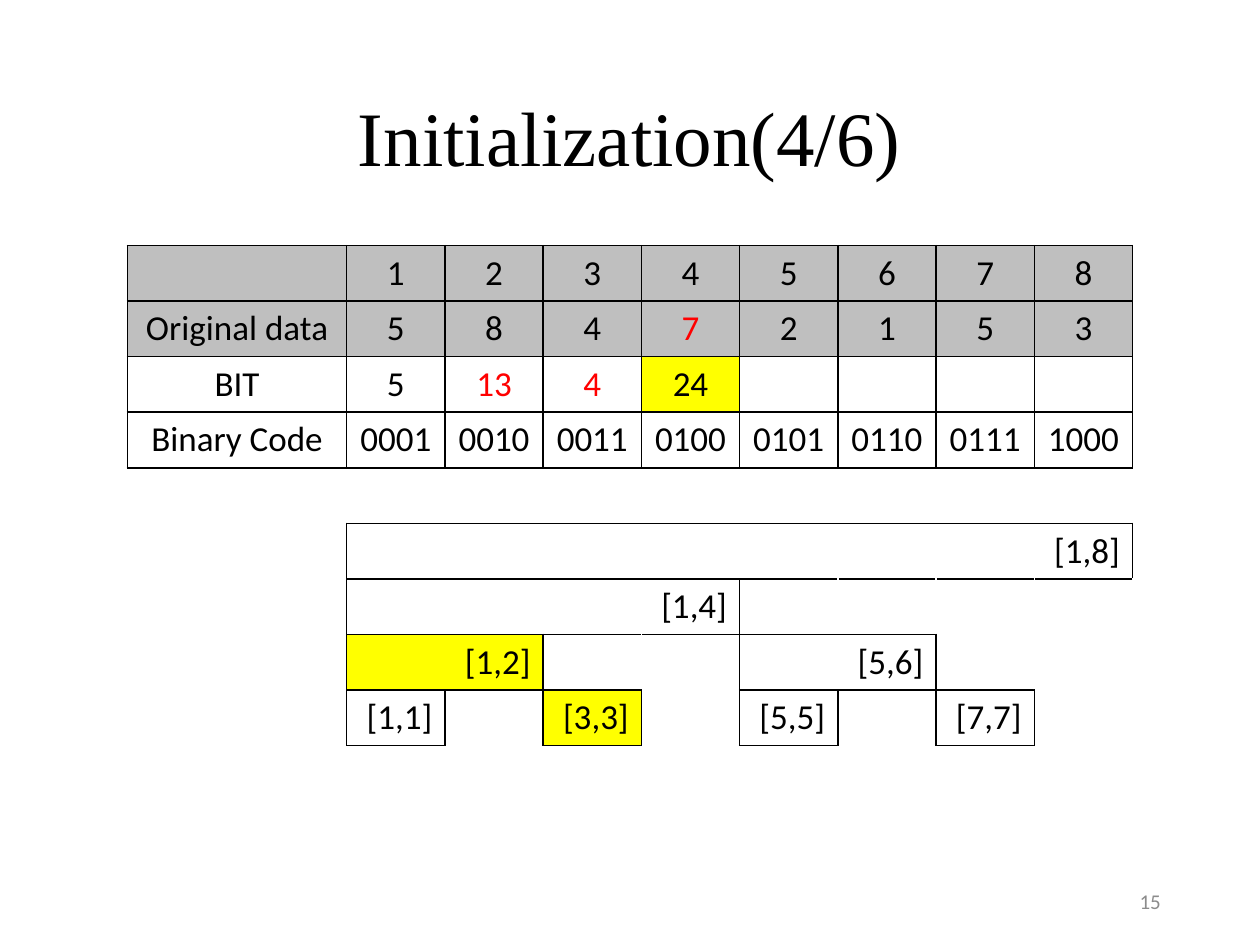
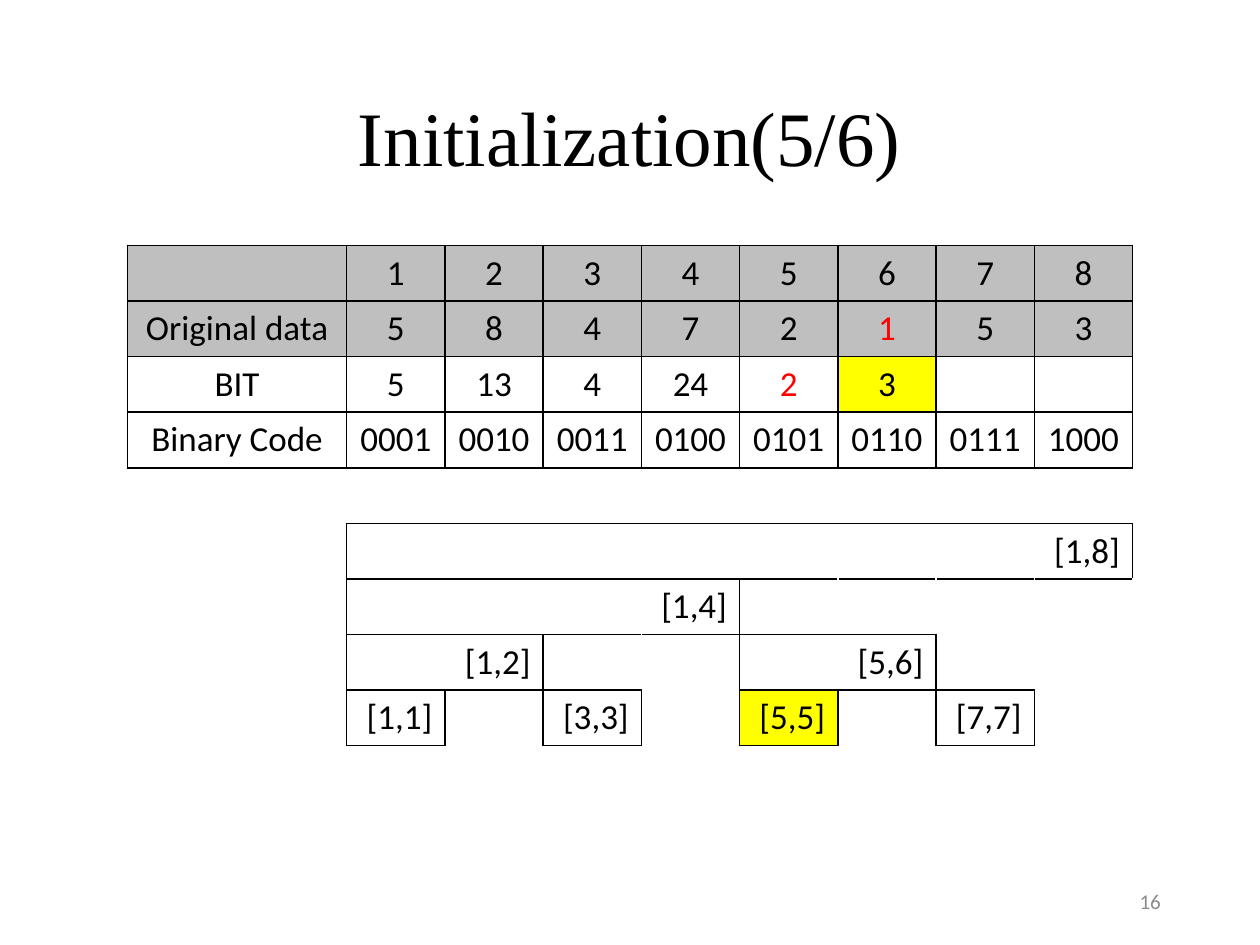
from lxml import etree
from pptx import Presentation
from pptx.dml.color import RGBColor
from pptx.enum.text import MSO_ANCHOR, PP_ALIGN
from pptx.oxml.ns import qn
from pptx.util import Cm, Pt

CENTER, RIGHT = PP_ALIGN.CENTER, PP_ALIGN.RIGHT
MIDDLE = MSO_ANCHOR.MIDDLE

BLACK, WHITE, RED = "000000", "FFFFFF", "FF0000"
GREY, YELLOW, PAGE_GREY = "BFBFBF", "FFFF00", "8C8C8C"
TITLE_FONT, BODY_FONT = "Times New Roman", "Calibri"

TITLE_BOX = (1.75, 1.02, 21.89, 3.68)
NUMBER_BOX = (17.93, 17.65, 5.72, 1.02)
TABLE_BOX = (2.57, 4.95, 20.26, 10.08)
LABEL_WIDTH = 4.42

DATA = [5, 8, 4, 7, 2, 1, 5, 3]
INDEXES = range(1, len(DATA) + 1)
ROW_LABELS = ["", "Original data", "BIT", "Binary Code"]
ROWS, COLUMNS = 9, len(DATA) + 1
TREE_TOP = 5
SIDES = {"L": (0, -1), "R": (0, 1), "T": (-1, 0), "B": (1, 0)}


def color(value):
    return RGBColor.from_string(value)


def low_bit(index):
    return index & -index


def node_start(index):
    return index - low_bit(index) + 1


def node_row(index):
    return ROWS - low_bit(index).bit_length()


def tree_sum(index):
    return sum(DATA[node_start(index) - 1:index])


def children(index):
    found, child = [], index - 1
    while child >= node_start(index):
        found.append(child)
        child -= low_bit(child)
    return found


FRAMED = {(row, column) for row in range(len(ROW_LABELS)) for column in range(COLUMNS)}
FRAMED |= {
    (node_row(index), column)
    for index in INDEXES
    for column in range(node_start(index), index + 1)
}


def write(frame, text, size, font=BODY_FONT, ink=BLACK, align=CENTER):
    paragraph = frame.paragraphs[0]
    paragraph.alignment = align
    run = paragraph.add_run()
    run.text = text
    run.font.size = Pt(size)
    run.font.name = font
    run.font.color.rgb = color(ink)
    return paragraph


def add_text_box(slide, box, *args, **style):
    frame = slide.shapes.add_textbox(*map(Cm, box)).text_frame
    frame.word_wrap = True
    frame.vertical_anchor = MIDDLE
    return write(frame, *args, **style)


def border_color(row, column, step):
    neighbour = (row + step[0], column + step[1])
    if (row, column) in FRAMED or neighbour in FRAMED:
        return BLACK
    return WHITE if row >= TREE_TOP and column >= 1 else None


def draw_borders(cell, row, column):
    properties = cell._tc.get_or_add_tcPr()
    for side, step in SIDES.items():
        line = etree.SubElement(properties, qn(f"a:ln{side}"), w=str(Pt(1)))
        ink = border_color(row, column, step)
        if ink:
            fill = etree.SubElement(line, qn("a:solidFill"))
            etree.SubElement(fill, qn("a:srgbClr"), val=ink)
        else:
            etree.SubElement(line, qn("a:noFill"))


def paint(cell, fill):
    cell.fill.solid()
    cell.fill.fore_color.rgb = color(fill)


def add_grid(slide, box):
    table = slide.shapes.add_table(ROWS, COLUMNS, *map(Cm, box)).table
    table.first_row = table.horz_banding = False
    for column in range(COLUMNS):
        value_width = (box[2] - LABEL_WIDTH) / len(DATA)
        table.columns[column].width = Cm(value_width if column else LABEL_WIDTH)
    for row in range(ROWS):
        table.rows[row].height = Cm(box[3] / ROWS)
        for column in range(COLUMNS):
            cell = table.cell(row, column)
            cell.vertical_anchor = MIDDLE
            draw_borders(cell, row, column)
            if row < 2:
                paint(cell, GREY)
            else:
                cell.fill.background()
    return table


def fill_data_rows(table, current):
    sources = children(current)
    rows = [
        [str(index) for index in INDEXES],
        [str(value) for value in DATA],
        [str(tree_sum(index)) if index <= current else "" for index in INDEXES],
        [f"{index:04b}" for index in INDEXES],
    ]
    red_cells = {(1, current)} | {(2, index) for index in sources}
    for row, (label, values) in enumerate(zip(ROW_LABELS, rows)):
        for column, text in enumerate([label] + values):
            if text:
                ink = RED if (row, column) in red_cells else BLACK
                write(table.cell(row, column).text_frame, text, 20, ink=ink)
    paint(table.cell(2, current), YELLOW)


def fill_tree(table, current):
    for index in INDEXES:
        row, start = node_row(index), node_start(index)
        cell = table.cell(row, start)
        if start < index:
            cell.merge(table.cell(row, index))
        write(cell.text_frame, f"[{start},{index}]", 20, align=RIGHT)
        if index in children(current):
            paint(cell, YELLOW)


def add_step_slide(presentation, step, current, number):
    slide = presentation.slides.add_slide(presentation.slide_layouts[6])
    title = add_text_box(slide, TITLE_BOX, f"Initialization({step}/6)", 44, font=TITLE_FONT)
    title.line_spacing = 0.9
    add_text_box(slide, NUMBER_BOX, str(number), 12, ink=PAGE_GREY, align=RIGHT)
    table = add_grid(slide, TABLE_BOX)
    fill_data_rows(table, current)
    fill_tree(table, current)


def main():
    presentation = Presentation()
    presentation.slide_width, presentation.slide_height = Cm(25.4), Cm(19.05)
    add_step_slide(presentation, step=4, current=4, number=15)
    add_step_slide(presentation, step=5, current=6, number=16)
    presentation.save("out.pptx")


if __name__ == "__main__":
    main()
